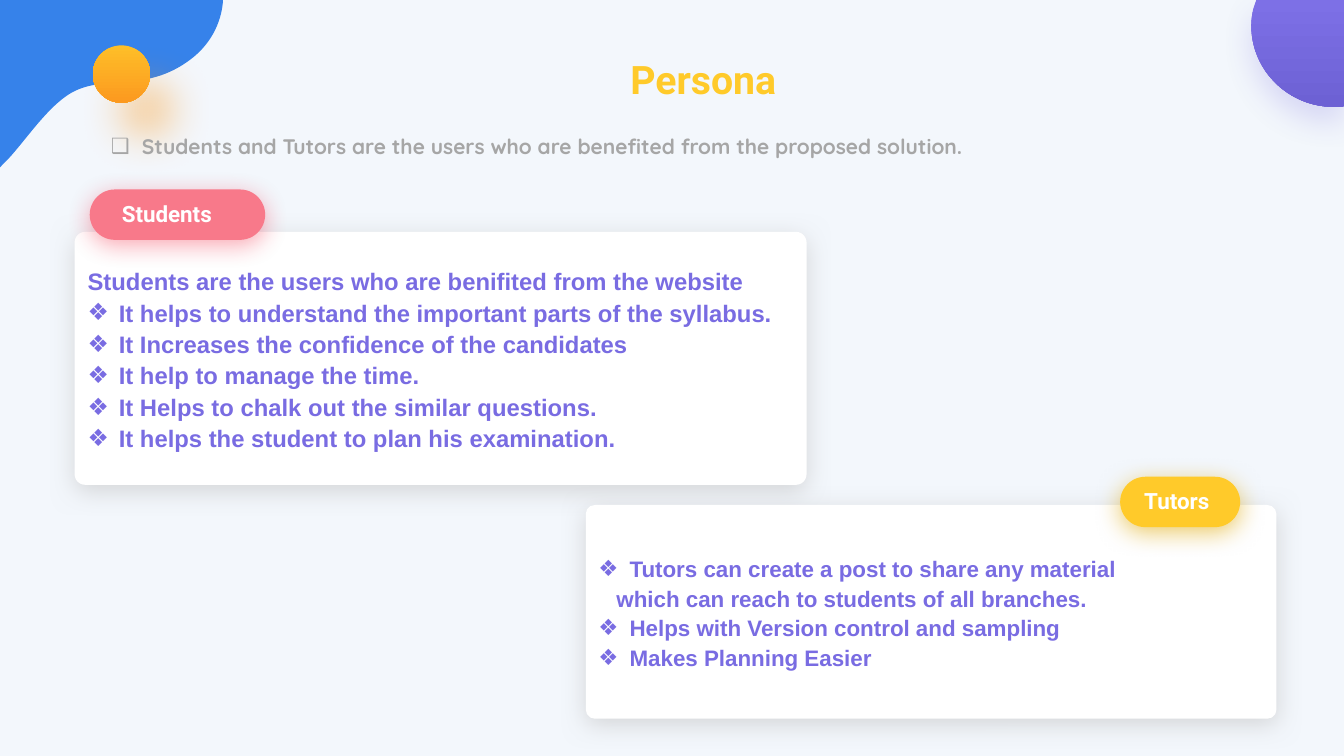
import pptx
import pptx.util
import pptx.dml.color
import pptx.enum.shapes
import pptx.enum.text
import pptx.oxml.ns
from dataclasses import dataclass
from lxml import etree

Inches = pptx.util.Inches
Pt = pptx.util.Pt
KIND = pptx.enum.shapes.MSO_SHAPE
ALIGN = pptx.enum.text.PP_ALIGN
ANCHOR = pptx.enum.text.MSO_ANCHOR
qname = pptx.oxml.ns.qn


@dataclass(frozen=True)
class Theme:
    back: str = "F3F7FC"
    white: str = "FFFFFF"
    blue: str = "3682EA"
    gold: str = "FFCA2A"
    pink: str = "F8798A"
    text: str = "796CE2"
    gray: str = "A6A6A6"
    sun: tuple = ("FEBF28", "FC991F")
    moon: tuple = ("7D70E6", "6D61D4")
    title: int = 28
    lead: int = 15
    label: int = 16
    list_a: int = 17
    list_b: int = 16
    sun_glow: tuple = ("FC991F", 40, 28, 31, 55)
    moon_glow: tuple = ("7367DB", 22, 22, 11, 90)
    pink_glow: tuple = ("F3213D", 38, 18, 4, 90)
    gold_glow: tuple = ("DFA700", 58, 18, 4, 90)
    card_glow: tuple = ("BFBFBF", 58, 18, 4, 90)


THEME = Theme()


def tint(code):
    return pptx.dml.color.RGBColor.from_string(code)


def apply(item, values):
    for name, value in values.items():
        setattr(item, name, value)


def node(parent, tag, **values):
    child = etree.SubElement(parent, qname(tag))
    for name, value in values.items():
        child.set(name, str(value))
    return child


def paint(shape, fill, glow=None):
    if isinstance(fill, tuple):
        shape.fill.gradient()
        shape.fill.gradient_angle = 270
        for stop, code, place in zip(shape.fill.gradient_stops, fill, (0, 1)):
            stop.color.rgb = tint(code)
            stop.position = place
    else:
        shape.fill.solid()
        shape.fill.fore_color.rgb = tint(fill)
    shape.line.fill.background()
    shape.shadow.inherit = False
    if glow:
        code, alpha, blur, gap, angle = glow
        effect = shape._element.spPr.find(qname("a:effectLst"))
        shade = node(effect, "a:outerShdw", blurRad=Pt(blur), dist=Pt(gap),
                     dir=angle * 60000, algn="t", rotWithShape=0)
        node(node(shade, "a:srgbClr", val=code), "a:alpha", val=alpha * 1000)


def write(para, words, size, face, color, mark=None, inset=0, **style):
    props = para._p.get_or_add_pPr()
    props.set("marL", str(Inches(0.31 if mark else inset)))
    props.set("indent", str(Inches(-0.31 if mark else 0)))
    if mark:
        node(props, "a:buFont", typeface="Arial")
        node(props, "a:buChar", char=mark)
    else:
        node(props, "a:buNone")
    apply(para, {"alignment": ALIGN.LEFT, **style})
    run = para.add_run()
    run.text = words
    apply(run.font, {"size": Pt(size), "name": face, "bold": True})
    run.font.color.rgb = tint(color)


def block(slide, kind, box, fill, glow=None, round_by=None):
    shape = slide.shapes.add_shape(kind, *map(Inches, box))
    if round_by is not None:
        shape.adjustments[0] = round_by
    paint(shape, fill, glow)
    return shape


def note(slide, box, words, size, face, color, **style):
    frame = slide.shapes.add_textbox(*map(Inches, box)).text_frame
    frame.word_wrap = True
    write(frame.paragraphs[0], words, size, face, color, **style)


def blob(slide, box, moves, fill, glow=None):
    left, top = box
    spots = [[(Inches(left + x), Inches(top + y)) for x, y in move]
             for move in moves]
    maker = slide.shapes.build_freeform(*spots[0][-1], scale=1.0)
    maker.add_line_segments([spot[-1] for spot in spots[1:]], close=True)
    shape = maker.convert_to_shape()
    lines = list(shape._element.iter(qname("a:lnTo")))
    for line, spot in zip(lines, spots[1:]):
        if len(spot) == 3:
            bend = etree.Element(qname("a:cubicBezTo"))
            for x, y in spot:
                node(bend, "a:pt", x=x - shape.left, y=y - shape.top)
            line.getparent().replace(line, bend)
    paint(shape, fill, glow)


def left_art(slide, box):
    x, y = box
    blob(slide, box, [
        [(0, 0)], [(2.21, 0)], [(2.21, 0.03)],
        [(2.19, 0.23), (2.09, 0.44), (1.89, 0.59)],
        [(1.44, 0.93), (1.05, 0.73), (0.71, 0.92)],
        [(0.45, 1.07), (0.22, 1.45), (0.03, 1.63)],
        [(0, 1.66)]], THEME.blue)
    block(slide, KIND.OVAL, (x + 0.92, y + 0.45, 0.57, 0.57),
          THEME.sun, THEME.sun_glow)


def right_art(slide, box):
    blob(slide, box, [
        [(0.05, 0)], [(0.92, 0)], [(0.92, 1.05)], [(0.9, 1.06)],
        [(0.87, 1.06), (0.84, 1.06), (0.82, 1.06)],
        [(0.37, 1.06), (0, 0.7), (0, 0.25)],
        [(0, 0.19), (0.01, 0.14), (0.02, 0.09)]],
        THEME.moon, THEME.moon_glow)


def head(slide, box, words):
    title = slide.shapes.title
    apply(title, dict(zip(("left", "top", "width", "height"),
                          map(Inches, box))))
    paint(title, THEME.back)
    apply(title.text_frame, {"word_wrap": True,
                             "vertical_anchor": ANCHOR.MIDDLE})
    write(title.text_frame.paragraphs[0], words, THEME.title, "Roboto",
          THEME.gold, alignment=ALIGN.CENTER)


def card(slide, box, lines, size):
    shape = block(slide, KIND.ROUNDED_RECTANGLE, box, THEME.white,
                  THEME.card_glow, 0.042)
    frame = shape.text_frame
    apply(frame, {"word_wrap": True, "vertical_anchor": ANCHOR.MIDDLE})
    for rank, (words, style) in enumerate(lines):
        para = frame.add_paragraph() if rank else frame.paragraphs[0]
        write(para, words, size, "Arial", THEME.text, line_spacing=1.1, **style)


def badge(slide, box, words, pad, fill, glow):
    x, y, wide, high = box
    block(slide, KIND.ROUNDED_RECTANGLE, box, fill, glow, 0.5)
    note(slide, (x + pad, y + 0.07, wide - 0.08, 0.35), words, THEME.label,
         "Roboto", THEME.white, line_spacing=Pt(18))


def main():
    deck = pptx.Presentation()
    apply(deck, {"slide_width": Inches(13.33), "slide_height": Inches(7.5)})
    slide = deck.slides.add_slide(deck.slide_layouts[5])
    slide.background.fill.solid()
    slide.background.fill.fore_color.rgb = tint(THEME.back)
    head(slide, (2.76, 0.5, 8.43, 0.57), "Persona")
    left_art(slide, (0, 0))
    right_art(slide, (12.41, 0))
    note(slide, (1, 1.28, 8.99, 0.35),
         "Students and Tutors are the users who are benefited from the "
         "proposed solution.", THEME.lead, "Quicksand", THEME.gray, mark="❑")
    point = {"mark": "❖"}
    card(slide, (0.74, 2.3, 7.26, 2.51), [
        ("Students are the users who are benifited from the website", {}),
        ("It helps to understand the important parts of the syllabus.", point),
        ("It Increases the confidence of the candidates", point),
        ("It help to manage the time.", point),
        ("It Helps to chalk out the similar questions.", point),
        ("It helps the student to plan his examination.", point),
    ], THEME.list_a)
    badge(slide, (0.89, 1.88, 1.74, 0.5), "Students", 0.22,
          THEME.pink, THEME.pink_glow)
    card(slide, (5.81, 5.01, 6.85, 2.12), [
        ("Tutors can create a post to share any material", point),
        ("which can reach to students of all branches.", {"inset": 0.18}),
        ("Helps with Version control and sampling", point),
        ("Makes Planning Easier", point),
    ], THEME.list_b)
    badge(slide, (11.11, 4.73, 1.19, 0.5), "Tutors", 0.14,
          THEME.gold, THEME.gold_glow)
    deck.save("out.pptx")


if __name__ == "__main__":
    main()
